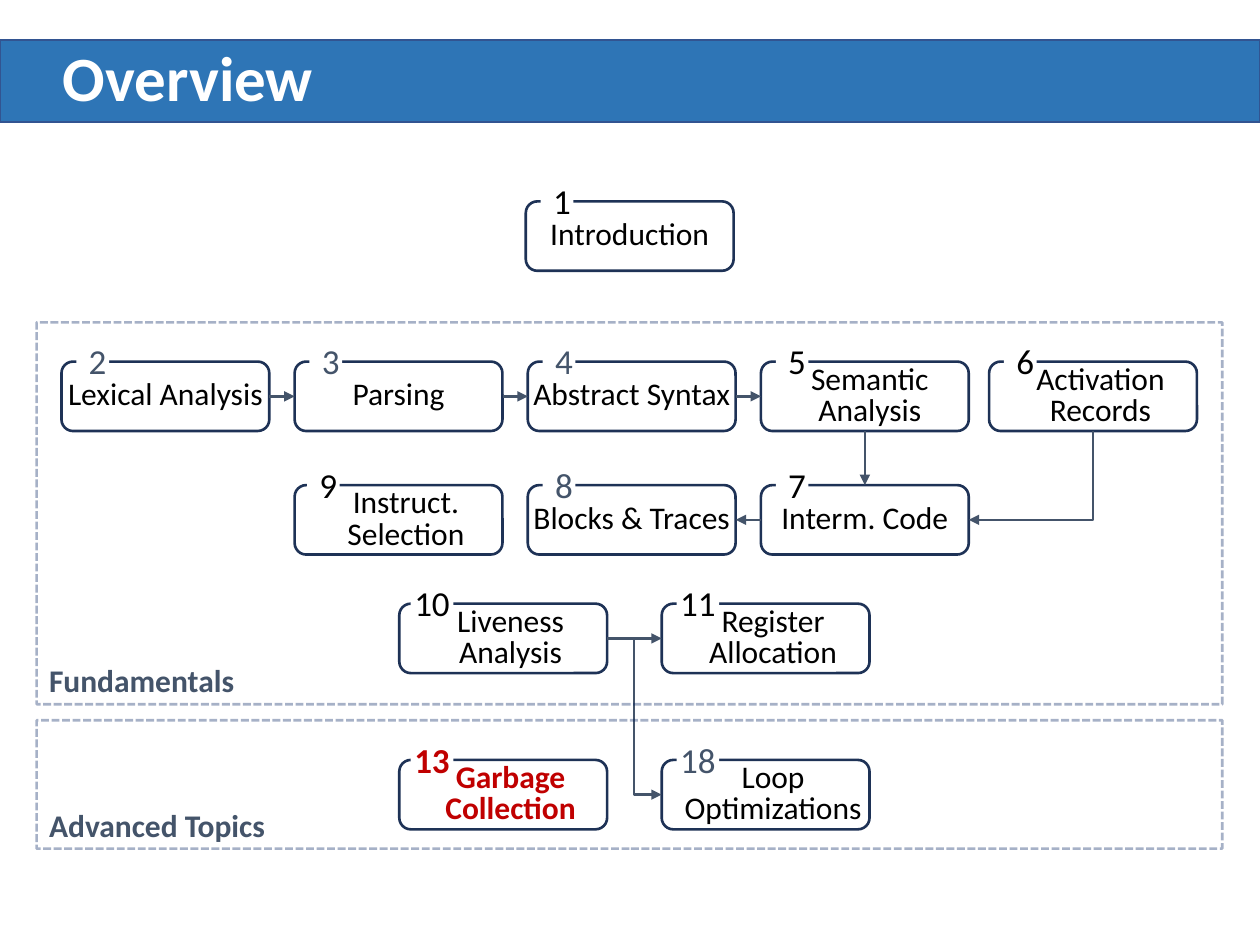
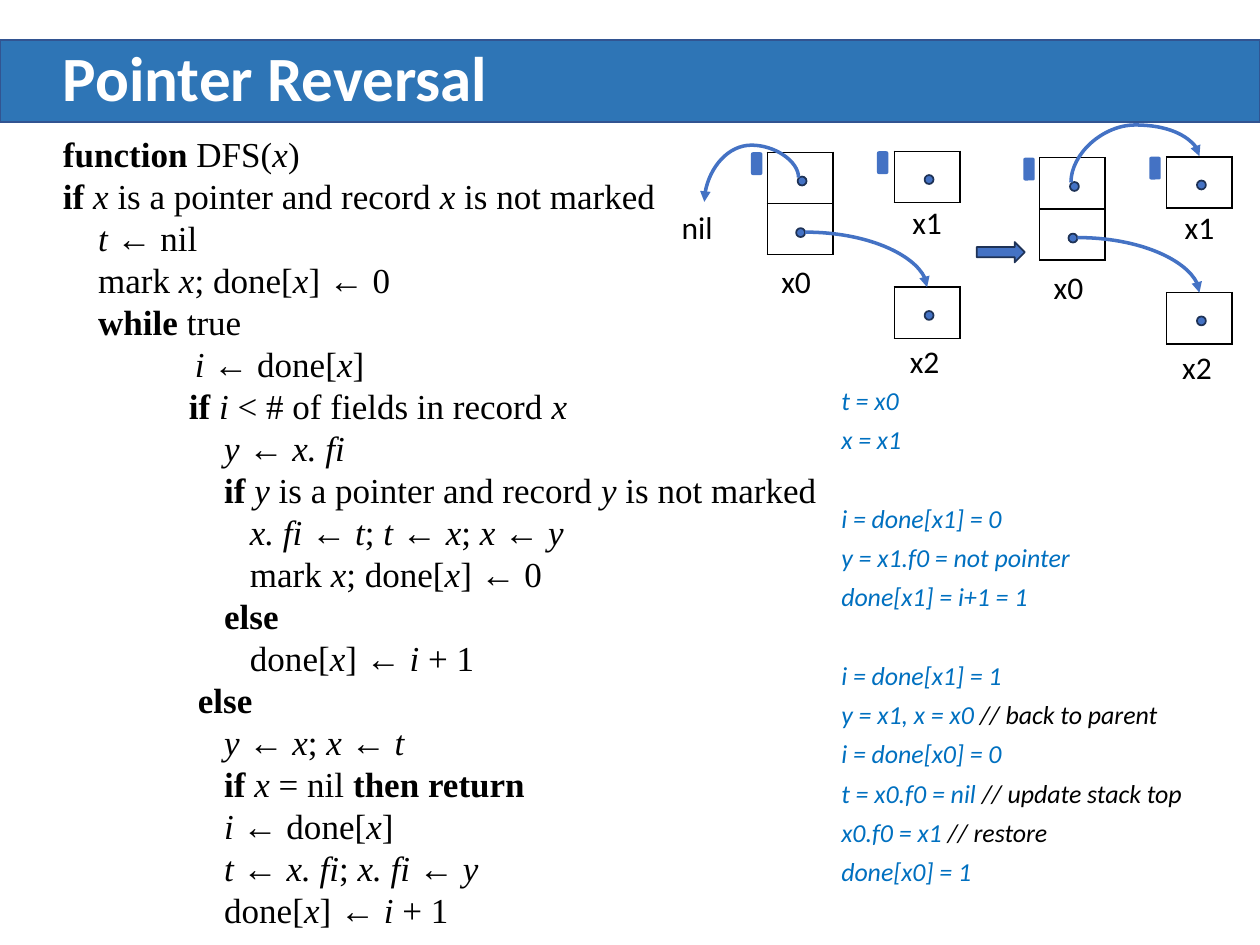
import pptx
import pptx.dml.color
import pptx.enum.dml
import pptx.enum.shapes
import pptx.enum.text
import pptx.oxml
import pptx.oxml.ns
import pptx.util
from lxml import etree

Cm = pptx.util.Cm
Pt = pptx.util.Pt
RGB = pptx.dml.color.RGBColor
SHAPE = pptx.enum.shapes.MSO_SHAPE
ALIGN = pptx.enum.text.PP_ALIGN
ANCHOR = pptx.enum.text.MSO_ANCHOR
qn = pptx.oxml.ns.qn

BAND = RGB(0x2E, 0x75, 0xB6)
BAND_LINE = RGB(0x32, 0x54, 0x91)
NAVY = RGB(0x1E, 0x32, 0x56)
FRAME = RGB(0x00, 0x20, 0x60)
SLATE = RGB(0x44, 0x54, 0x6A)
BLUE = RGB(0x44, 0x72, 0xC4)
TRACE = RGB(0x00, 0x70, 0xC0)
RED = RGB(0xC0, 0x00, 0x00)
BLACK = RGB(0, 0, 0)
WHITE = RGB(0xFF, 0xFF, 0xFF)


def box(s, kind, x, y, w, h, fill=None, line=None, weight=1,
        text="", size=18, color=BLACK, bold=False, align=None):
    area = Cm(x), Cm(y), Cm(w), Cm(h)
    sp = s.shapes.add_shape(kind, *area) if kind else s.shapes.add_textbox(*area)
    sp.shadow.inherit = False
    if fill is None:
        sp.fill.background()
    else:
        sp.fill.solid()
        sp.fill.fore_color.rgb = fill
    if line is None:
        sp.line.fill.background()
    else:
        sp.line.color.rgb = line
        sp.line.width = Pt(weight)
    tf = sp.text_frame
    tf.word_wrap = True
    if text:
        p = tf.paragraphs[0]
        p.text = text
        p.font.name = "Calibri"
        p.font.size = Pt(size)
        p.font.bold = bold
        p.font.color.rgb = color
        if align:
            p.alignment = align
    return sp


def arrow(s, x1, y1, x2, y2, color, weight, prst="line", rot=0, flip="", adj=None):
    if rot:
        w, h = abs(y2 - y1), abs(x2 - x1)
        x1, y1 = (x1 + x2 - w) / 2, (y1 + y2 - h) / 2
        x2, y2 = x1 + w, y1 + h
    c = s.shapes.add_connector(pptx.enum.shapes.MSO_CONNECTOR.STRAIGHT,
                               Cm(x1), Cm(y1), Cm(x2), Cm(y2))
    c.line.color.rgb = color
    c.line.width = Pt(weight)
    etree.SubElement(c.line._get_or_add_ln(), qn("a:tailEnd"), type="triangle")
    spPr = c._element.spPr
    etree.SubElement(spPr, qn("a:effectLst"))
    geom = spPr.find(qn("a:prstGeom"))
    geom.set("prst", prst)
    if adj:
        etree.SubElement(geom.find(qn("a:avLst")), qn("a:gd"), name="adj1", fmla=f"val {adj}")
    xfrm = spPr.find(qn("a:xfrm"))
    if rot:
        xfrm.set("rot", str(rot * 60000))
    for axis in flip:
        xfrm.set("flip" + axis, "1")


prs = pptx.Presentation()
prs.slide_width, prs.slide_height = Cm(25.4), Cm(19.05)
slides = []
for title in ("Overview", "Pointer Reversal"):
    s = prs.slides.add_slide(prs.slide_layouts[6])
    box(s, SHAPE.RECTANGLE, 0, 0.8, 25.4, 1.66, BAND, BAND_LINE)
    sp = box(s, None, 1.02, 0.8, 23.47, 1.66, text=title, size=36, color=WHITE, bold=True)
    sp.text_frame.vertical_anchor = ANCHOR.MIDDLE
    sp.text_frame.paragraphs[0].line_spacing = 0.9
    slides.append(s)
overview, reversal = slides

BOX_W, BOX_H = 4.19, 1.4
COL = [1.24 + 4.7 * i for i in range(4)]
ROW1, ROW2, ROW3, ROW4 = 7.29, 9.78, 12.17, 15.32
LEFT, RIGHT = 8.05, 13.34
chapters = [
    ("1", "Introduction", 10.6, 4.06, BLACK, 0, 0.3),
    ("2", "Lexical Analysis", COL[0], ROW1, SLATE, 0, 0.3),
    ("3", "Parsing", COL[1], ROW1, SLATE, 0, 0.3),
    ("4", "Abstract Syntax", COL[2], ROW1, SLATE, 0, 0.3),
    ("5", "Semantic Analysis", COL[3], ROW1, BLACK, 0.2, 0.3),
    ("6", "Activation Records", 19.94, ROW1, BLACK, 0.3, 0.3),
    ("7", "Interm. Code", COL[3], ROW2, BLACK, 0, 0.3),
    ("8", "Blocks & Traces", COL[2], ROW2, SLATE, 0, 0.3),
    ("9", "Instruct. Selection", COL[1], ROW2, BLACK, 0.3, 0.25),
    ("10", "Liveness Analysis", LEFT, ROW3, BLACK, 0.3, 0.23),
    ("11", "Register Allocation", RIGHT, ROW3, BLACK, 0.3, 0.3),
    ("13", "Garbage Collection", LEFT, ROW4, RED, 0.3, 0.23),
    ("18", "Loop Optimizations", RIGHT, ROW4, SLATE, 0.3, 0.3),
]
for number, name, x, y, color, inset, shift in chapters:
    current = color == RED
    sp = box(overview, SHAPE.ROUNDED_RECTANGLE, x, y, BOX_W, BOX_H, line=NAVY, weight=1.5,
             text=name, color=RED if current else BLACK, bold=current)
    tf = sp.text_frame
    tf.margin_left = Cm(inset)
    tf.margin_top = tf.margin_right = tf.margin_bottom = 0
    tf.paragraphs[0].line_spacing = Pt(18)
    wide = len(number) > 1
    sp = box(overview, SHAPE.RECTANGLE, x + shift, y - 0.41, 0.86 if wide else 0.66, 0.79,
             fill=WHITE, text=number, size=20, color=color, bold=current)
    if wide:
        sp.text_frame.margin_left = sp.text_frame.margin_right = 0

MID = BOX_H / 2
for x in COL[:3]:
    arrow(overview, x + BOX_W, ROW1 + MID, x + 4.7, ROW1 + MID, SLATE, 1.5)
code_mid = COL[3] + BOX_W / 2
arrow(overview, code_mid, ROW1 + BOX_H, code_mid, ROW2, SLATE, 1.5)
arrow(overview, COL[3], ROW2 + MID, COL[2] + BOX_W, ROW2 + MID, SLATE, 1.5)
arrow(overview, LEFT + BOX_W, ROW3 + MID, RIGHT, ROW3 + MID, SLATE, 1.5)
arrow(overview, 19.94 + BOX_W / 2, ROW1 + BOX_H, COL[3] + BOX_W, ROW2 + MID,
      SLATE, 1.5, "bentConnector2", 90)
arrow(overview, 12.78, ROW3 + MID, RIGHT, ROW4 + MID, SLATE, 1.5, "bentConnector2", 270, "H")

for name, top, height, label_top in (("Fundamentals", 6.5, 7.7, 13.21),
                                     ("Advanced Topics", 14.52, 2.59, 16.13)):
    sp = box(overview, SHAPE.RECTANGLE, 0.74, top, 23.9, height, line=FRAME, weight=1.5)
    sp.line.dash_style = pptx.enum.dml.MSO_LINE.SQUARE_DOT
    sp.line._get_or_add_ln().find(qn("a:prstDash")).set("val", "sysDash")
    clr = sp._element.spPr.find(".//" + qn("a:ln")).find(".//" + qn("a:srgbClr"))
    etree.SubElement(clr, qn("a:alpha"), val="35000")
    box(overview, None, 0.74, label_top, 12.7, 1.02, text=name, color=SLATE, bold=True)

code = [
    (0, "*function *DFS(_x_)"),
    (0, "*if *_x _is a pointer and record _x _is not marked"),
    (0.71, "_t _← nil"),
    (0.71, "mark _x_; done[_x_] ← 0"),
    (0.71, "*while *true"),
    (2.66, "_i_ ← done[_x_]"),
    (2.54, "*if *_i _< # of fields in record _x_"),
    (3.25, "_y _← _x. fi_"),
    (3.25, "*if *_y _is a pointer and record _y _is not marked"),
    (3.77, "_x. fi _← _t_; _t _← _x_; _x _← _y_"),
    (3.77, "mark _x_; done[_x_] ← 0"),
    (3.25, "*else*"),
    (3.77, "done[_x_] ← _i _+ 1"),
    (2.72, "*else*"),
    (3.25, "_y _← _x_; _x _← _t_"),
    (3.25, "*if *_x _= nil *then return*"),
    (3.25, "_i _← done[_x_]"),
    (3.25, "_t _← _x. fi_; _x. fi _← _y_"),
    (3.25, "done[_x_] ← _i _+ 1"),
]
tf = box(reversal, None, 1.02, 2.54, 23.55, 16.51).text_frame
for n, (indent, line) in enumerate(code):
    p = tf.add_paragraph() if n else tf.paragraphs[0]
    p.font.name = "Times New Roman"
    p.font.size = Pt(20)
    p.font.color.rgb = BLACK
    p.line_spacing = Pt(24)
    p._p.get_or_add_pPr().set("marL", str(Cm(indent)))
    for i, bold_part in enumerate(line.split("*")):
        for j, part in enumerate(bold_part.split("_")):
            if part:
                r = p.add_run()
                r.text = part
                r.font.bold = i % 2 == 1
                r.font.italic = j % 2 == 1

trace = [
    ["t = x0", "x = x1"],
    ["i = done[x1] = 0", "y = x1.f0 = not pointer", "done[x1] = i+1 = 1"],
    ["i = done[x1] = 1", "y = x1, x = x0 // back to parent", "i = done[x0] = 0",
     "t = x0.f0 = nil // update stack top", "x0.f0 = x1 // restore", "done[x0] = 1"],
]
tf = box(reversal, None, 16.71, 7.8, 8.51, 10.44).text_frame
for g, group in enumerate(trace):
    for n, line in enumerate(group):
        p = tf.add_paragraph() if g or n else tf.paragraphs[0]
        p.font.name = "Calibri"
        p.font.size = Pt(14.8)
        p.font.italic = True
        p.line_spacing = 0.7
        p.space_before = Pt(32.5 if g and not n else 10)
        step, slashes, remark = line.partition("//")
        for text, color in ((step, TRACE), (slashes + remark, BLACK)):
            if text:
                r = p.add_run()
                r.text = text
                r.font.color.rgb = color

CELL_W, CELL_H, DOT = 1.32, 1.03, 0.18
for dx, dy in ((0, 0), (5.49, 0.11)):
    for x, y, rows in ((15.47, 3.07, 2), (18.03, 3.05, 1), (18.03, 5.79, 1)):
        tbl = reversal.shapes.add_table(rows, 1, Cm(x + dx), Cm(y + dy),
                                        Cm(CELL_W), Cm(CELL_H * rows)).table
        tbl.first_row = tbl.horz_banding = False
        for cell in tbl.iter_cells():
            tcPr = cell._tc.get_or_add_tcPr()
            for side in ("a:lnL", "a:lnR", "a:lnT", "a:lnB"):
                ln = etree.SubElement(tcPr, qn(side), w=str(Pt(1)))
                solid = etree.SubElement(ln, qn("a:solidFill"))
                etree.SubElement(solid, qn("a:srgbClr"), val=str(BLACK))
            cell.fill.background()
    for name, x, y in (("x0", 15.39, 5.16), ("x1", 18.03, 3.96), ("x2", 17.98, 6.78)):
        box(reversal, None, x + dx, y + dy, CELL_W, 1.02, text=name, align=ALIGN.CENTER)
    for x, y in ((16.08, 3.56), (16.05, 4.6), (18.64, 3.53), (18.64, 6.27)):
        box(reversal, SHAPE.OVAL, x + dx, y + dy, DOT, DOT, BLUE, NAVY)
    for x, y in ((15.14, 3.07), (17.68, 3.05)):
        box(reversal, SHAPE.ROUNDED_RECTANGLE, x + dx, y + dy, 0.23, 0.46, BLUE)
    arrow(reversal, 16.23 + dx, 4.68 + dy, 18.69 + dx, 5.79 + dy, BLUE, 2, "curvedConnector2")

arrow(reversal, 16.1, 3.58, 14.2, 4.07, BLUE, 2, "curvedConnector3", 270, "HV", -133300)
arrow(reversal, 21.59, 3.68, 24.18, 3.15, BLUE, 2, "curvedConnector3", 90, "HV", 218800)
box(reversal, None, 13.49, 4.06, 1.42, 1.07, text="nil")
box(reversal, SHAPE.RIGHT_ARROW, 19.69, 4.88, 0.97, 0.41, BLUE, NAVY)

prs.save("out.pptx")
